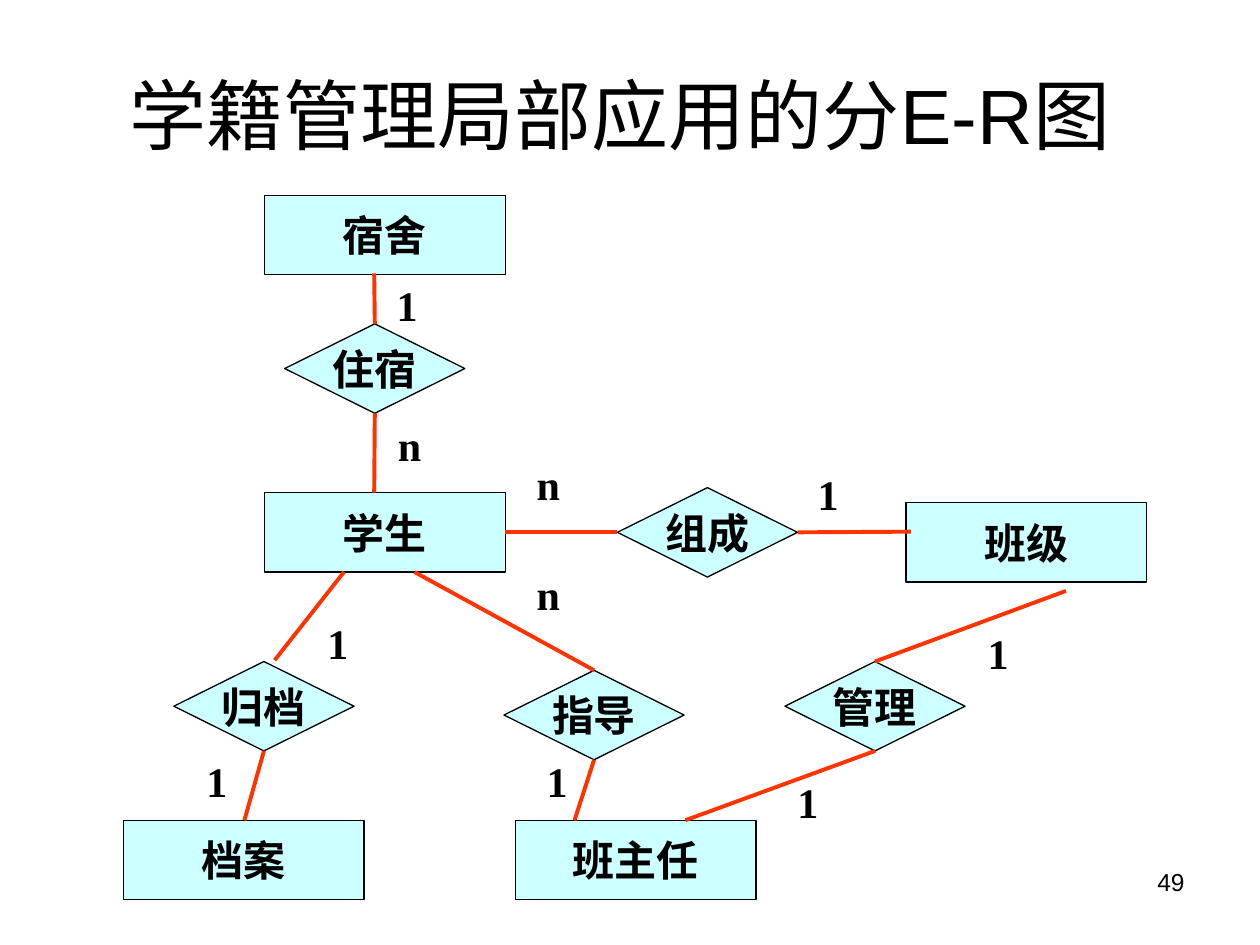
from dataclasses import dataclass
from typing import NamedTuple, Optional

from lxml import etree
from pptx import Presentation
from pptx.dml.color import RGBColor
from pptx.enum import shapes, text
from pptx.oxml import ns
from pptx.util import Inches, Pt

TOP, LEFT, BOTTOM, RIGHT = range(4)


@dataclass(frozen=True)
class Theme:
    ink: RGBColor = RGBColor(0, 0, 0)
    fill: RGBColor = RGBColor(0xCC, 0xFF, 0xFF)
    link: RGBColor = RGBColor(0xFF, 0x33, 0x00)
    sans: str = "Arial"
    serif: str = "Times New Roman"
    title: int = 44
    body: int = 24
    small: int = 14
    edge: float = 0.75
    wire: float = 2.25


THEME = Theme()


class Node(NamedTuple):
    name: str
    x: float
    y: float


class Mark(NamedTuple):
    text: str
    x: float
    y: float
    w: float = 0.32


class End(NamedTuple):
    """A line end: a point, and the node side it joins, if any."""
    x: float = 0
    y: float = 0
    node: Optional[str] = None
    side: int = TOP


def side(node: str, where: int) -> End:
    return End(node=node, side=where)


ENTITY = (1.91, 0.63)
RELATION = (1.43, 0.71)

ENTITIES = [
    Node("学生", 2.1, 3.91), Node("宿舍", 2.1, 1.55), Node("班主任", 4.09, 6.51),
    Node("班级", 7.19, 3.99), Node("档案", 0.98, 6.51),
]
RELATIONS = [
    Node("住宿", 2.26, 2.57), Node("组成", 4.9, 3.87), Node("指导", 4, 5.32),
    Node("归档", 1.38, 5.25), Node("管理", 6.23, 5.25),
]
LINKS = [
    (side("归档", BOTTOM), End(1.94, 6.51)),
    (End(2.73, 4.54), End(2.18, 5.24)),
    (End(3.29, 4.54), side("指导", TOP)),
    (side("指导", BOTTOM), End(4.56, 6.51)),
    (End(2.97, 2.17), side("住宿", TOP)),
    (side("住宿", BOTTOM), End(2.97, 3.91)),
    (side("学生", RIGHT), side("组成", LEFT)),
    (side("组成", RIGHT), End(7.23, 4.22)),
    (side("管理", BOTTOM), End(5.44, 6.51)),
    (End(8.46, 4.69), side("管理", TOP)),
]
MARKS = [
    Mark("1", 3.05, 2.17), Mark("n", 3.05, 3.28, 0.4), Mark("n", 4.16, 3.59),
    Mark("1", 6.39, 3.67), Mark("1", 7.74, 4.93), Mark("1", 6.23, 6.11),
    Mark("n", 4.16, 4.46), Mark("1", 4.24, 5.95), Mark("1", 2.5, 4.85),
    Mark("1", 1.54, 5.95),
]


def write(shape, words: str, *, size: int = THEME.body, face: str = THEME.serif,
          bold: bool = True, align=text.PP_ALIGN.CENTER,
          anchor=text.MSO_ANCHOR.TOP, wrap: bool = True) -> None:
    frame = shape.text_frame
    frame.word_wrap = wrap
    frame.vertical_anchor = anchor
    para = frame.paragraphs[0]
    para.alignment = align
    run = para.add_run()
    run.text = words
    run.font.size = Pt(size)
    run.font.name = face
    run.font.bold = bold
    run.font.color.rgb = THEME.ink


def label(slide, words: str, x: float, y: float, w: float, h: float, **form) -> None:
    box = slide.shapes.add_textbox(Inches(x), Inches(y), Inches(w), Inches(h))
    write(box, words, **form)


def block(slide, node: Node, kind, size: tuple[float, float]):
    w, h = size
    shape = slide.shapes.add_shape(
        kind, Inches(node.x), Inches(node.y), Inches(w), Inches(h))
    shape.shadow.inherit = False
    shape.fill.solid()
    shape.fill.fore_color.rgb = THEME.fill
    shape.line.color.rgb = THEME.ink
    shape.line.width = Pt(THEME.edge)
    write(shape, node.name, anchor=text.MSO_ANCHOR.MIDDLE, wrap=False)
    return shape


def join(slide, start: End, end: End, nodes: dict) -> None:
    line = slide.shapes.add_connector(
        shapes.MSO_CONNECTOR.STRAIGHT,
        Inches(start.x), Inches(start.y), Inches(end.x), Inches(end.y))
    if start.node:
        line.begin_connect(nodes[start.node], start.side)
    if end.node:
        line.end_connect(nodes[end.node], end.side)
    line.line.color.rgb = THEME.link
    line.line.width = Pt(THEME.wire)
    etree.SubElement(line._element.spPr, ns.qn("a:effectLst"))


def main() -> None:
    deck = Presentation()
    deck.slide_width, deck.slide_height = Inches(10), Inches(7.5)
    slide = deck.slides.add_slide(deck.slide_layouts[6])

    label(slide, "49", 7.17, 6.83, 2.33, 0.52, size=THEME.small,
          face=THEME.sans, bold=False, align=text.PP_ALIGN.RIGHT)
    label(slide, "学籍管理局部应用的分E-R图", 0.67, 0.28, 8.5, 1.25,
          size=THEME.title, face=THEME.sans, bold=False,
          anchor=text.MSO_ANCHOR.MIDDLE)

    nodes = {}
    for group, kind, size in (
        (ENTITIES, shapes.MSO_SHAPE.RECTANGLE, ENTITY),
        (RELATIONS, shapes.MSO_SHAPE.FLOWCHART_DECISION, RELATION),
    ):
        for node in group:
            nodes[node.name] = block(slide, node, kind, size)
    for start, end in LINKS:
        join(slide, start, end, nodes)
    for mark in MARKS:
        label(slide, mark.text, mark.x, mark.y, mark.w, 0.5)

    deck.save("out.pptx")


if __name__ == "__main__":
    main()
